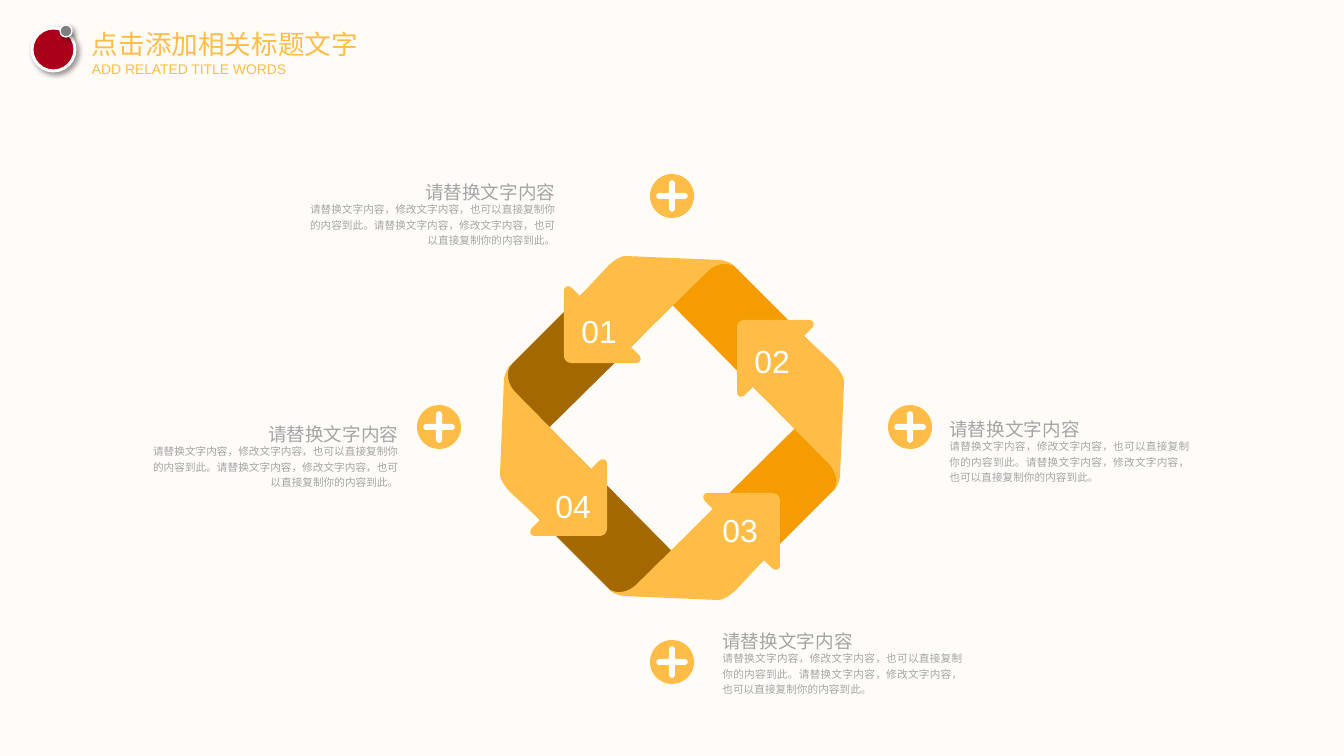
from dataclasses import dataclass

from lxml.etree import SubElement as Sub
from pptx import Presentation
from pptx.dml.color import RGBColor as Rgb
from pptx.enum.shapes import MSO_SHAPE as Kind
from pptx.enum.text import MSO_ANCHOR as Anchor, MSO_AUTO_SIZE as Fit, PP_ALIGN as Align
from pptx.oxml.ns import qn
from pptx.util import Pt

PX = 9565  # EMU per px


@dataclass(frozen=True)
class Theme:
    back: str = "FFFCF8"
    gold: str = "FFBD47"
    amber: str = "F49C00"
    brown: str = "A36800"
    red: str = "AB0019"
    gray: str = "7F7F7F"
    text: str = "A5A5A5"
    white: str = "FFFFFF"
    font: str = "Arial"
    title: float = 20
    sub: float = 10.5
    num: float = 24
    head: float = 14
    body: float = 8


T = Theme()

HEAD = "请替换文字内容"
BODY = "请替换文字内容，修改文字内容，也可以直接复制你的内容到此。" * 2

# Outlines around a centre: pairs are lines, sixes are curves
BAND = [(50, -167), (-44, -168), (93, -29), (144, -80), (61, -163),
        (56, -166, 52, -167, 50, -167)]
ARROW = [(-46, -172), (-52, -172, -58, -167, -63, -163), (-92, -132),
         (-100, -140), (-103, -143, -108, -142, -108, -137), (-108, -73),
         (-108, -68, -105, -65, -100, -65), (-36, -65),
         (-31, -65, -30, -70, -33, -73), (-41, -81), (34, -155),
         (43, -165, 57, -167, 64, -160), (64, -160, 60, -166, 49, -168)]
ARM = [(-3, -3), (-3, -12), (-3, -17, 3, -17, 3, -12)]


def emu(*nums):
    return [round(n * PX) for n in nums]


def assign(item, **vals):
    for key, val in vals.items():
        setattr(item, key, val)


def paint(shape, fill, line=None, width=0):
    shape.shadow.inherit = False
    shape.fill.solid()
    shape.fill.fore_color.rgb = Rgb.from_string(fill)
    if line:
        shape.line.color.rgb = Rgb.from_string(line)
        shape.line.width = Pt(width)
    else:
        shape.line.fill.background()


def write(shape, text, size, color, align=Align.LEFT, space=1.0, inset=True):
    frame = shape.text_frame
    assign(frame, text=text, word_wrap=True, auto_size=Fit.NONE,
           vertical_anchor=Anchor.TOP)
    if not inset:
        assign(frame, margin_left=0, margin_top=0, margin_right=0, margin_bottom=0)
    para = frame.paragraphs[0]
    assign(para, alignment=align, line_spacing=space)
    assign(para.font, name=T.font, size=Pt(size))
    para.font.color.rgb = Rgb.from_string(color)


def label(slide, box, *args, **opts):
    write(slide.shapes.add_textbox(*emu(*box)), *args, **opts)


def disc(slide, box, *style):
    shape = slide.shapes.add_shape(Kind.OVAL, *emu(*box))
    paint(shape, *style)
    return shape


# Geometry
def turn(steps, times):
    for _ in range(times):
        steps = [tuple(n for i in range(0, len(s), 2) for n in (-s[i + 1], s[i]))
                 for s in steps]
    return steps


def trace(steps, count=8):
    dots = []
    for step in steps:
        if len(step) == 2:
            dots.append(step)
            continue
        ends = [dots[-1], step[:2], step[2:4], step[4:]]
        for i in range(1, count + 1):
            t = i / count
            parts = ((1 - t) ** 3, 3 * t * (1 - t) ** 2, 3 * t * t * (1 - t), t ** 3)
            dots.append(tuple(sum(w * p[k] for w, p in zip(parts, ends))
                              for k in (0, 1)))
    return dots


def outline(slide, mid, steps, fill):
    dots = [emu(mid[0] + x, mid[1] + y) for x, y in trace(steps)]
    pen = slide.shapes.build_freeform(*dots[0])
    pen.add_line_segments(dots[1:], close=True)
    paint(pen.convert_to_shape(), fill)


# Title region with its badge
def header(slide, box):
    x, y = box[:2]
    title = slide.shapes.title
    spots = emu(x + 60, y, 268, 33)
    assign(title, **dict(zip(("left", "top", "width", "height"), spots)))
    write(title, "点击添加相关标题文字", T.title, T.gold, inset=False)
    label(slide, (x + 60, y + 33, 199, 17), "ADD RELATED TITLE WORDS",
          T.sub, T.gold, inset=False)
    for dx, dy, size, fill, width in ((0, 0, 43, T.red, 2.25),
                                      (28, -3, 12, T.gray, 1)):
        dot = disc(slide, (x + dx, y + dy, size, size), fill, T.white, width)
        fx = dot._element.spPr.find(qn("a:effectLst"))
        cast = Sub(fx, qn("a:outerShdw"), blurRad=str(Pt(4)), dist=str(Pt(3)),
                   dir="2700000", algn="tl", rotWithShape="0")
        tint = Sub(cast, qn("a:srgbClr"), val="000000")
        Sub(tint, qn("a:alpha"), val="40000")


# Ring of four folded arrows
def ring(slide, box):
    x, y, w, h = box
    mid = (x + w / 2, y + h / 2)
    for i, fill in enumerate((T.amber, T.amber, T.brown, T.brown)):
        outline(slide, mid, turn(BAND, i), fill)
    spots = ((-100, -129), (73, -99), (41, 70), (-126, 46))
    for i, (dx, dy) in enumerate(spots):
        outline(slide, mid, turn(ARROW, i), T.gold)
        label(slide, (mid[0] + dx, mid[1] + dy, 56, 52), f"0{i + 1}",
              T.num, T.white, space=1.2)


# Round plus button
def plus(slide, box):
    x, y, w, h = box
    disc(slide, box, T.gold)
    cross = [step for i in range(4) for step in turn(ARM, i)]
    outline(slide, (x + w / 2, y + h / 2), cross, T.white)


# Heading over a short text
def note(slide, box, right):
    x, y, w, h = box
    wide = 151
    side, flow = (Align.RIGHT, Align.RIGHT) if right else (Align.LEFT, Align.JUSTIFY)
    label(slide, (x, y + 24, w, h - 24), BODY, T.body, T.text, flow, 1.2)
    label(slide, (x + w - wide if right else x, y, wide, 34), HEAD,
          T.head, T.text, side, 1.2)


def main():
    deck = Presentation()
    deck.slide_width, deck.slide_height = emu(1344, 756)
    slide = deck.slides.add_slide(deck.slide_layouts[5])
    back = slide.background.fill
    back.solid()
    back.fore_color.rgb = Rgb.from_string(T.back)

    header(slide, (32, 28, 328, 50))
    for x, y in ((888, 405), (417, 405), (650, 174), (650, 640)):
        plus(slide, (x, y, 44, 44))
    ring(slide, (500, 256, 344, 344))
    for x, y, w, right in ((295, 172, 270, True), (138, 414, 270, True),
                           (940, 409, 259, False), (713, 621, 259, False)):
        note(slide, (x, y, w, 80), right)
    deck.save("out.pptx")


if __name__ == "__main__":
    main()
